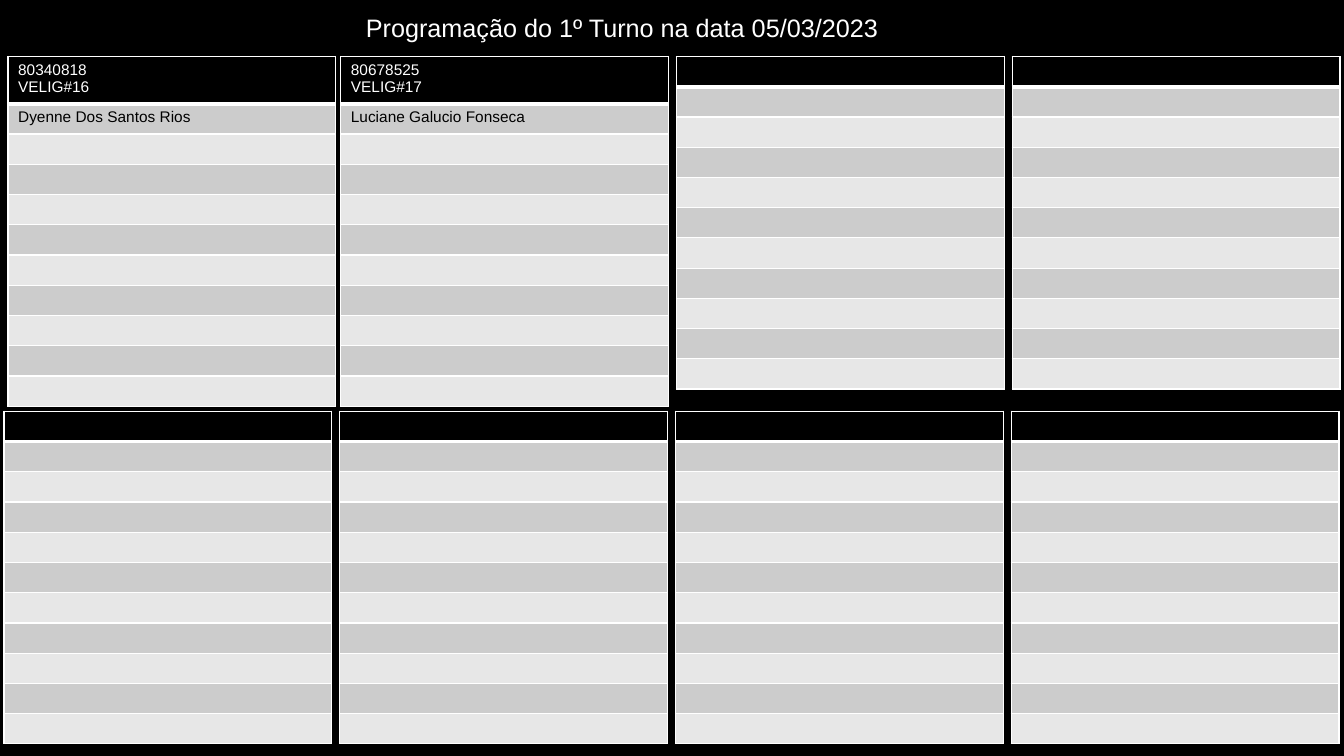
from dataclasses import dataclass

import lxml.etree
import pptx
import pptx.dml.color
import pptx.oxml.ns
import pptx.util

Inches = pptx.util.Inches
Pt = pptx.util.Pt
qn = pptx.oxml.ns.qn

BLACK, WHITE = "000000", "FFFFFF"
BANDS = ("CCCCCC", "E7E7E7")
FONT = "Arial"
CELL_SIZE = 11
CREW_ROWS = 10
ROW_HEIGHT = 0.3
ORDER_HEADER_HEIGHT = 0.47
STATION_WIDTH = 3.25


@dataclass
class Station:
    left: float
    top: float
    order: tuple[str, ...] = ()
    crew: tuple[str, ...] = ()


def rgb(color: str) -> pptx.dml.color.RGBColor:
    return pptx.dml.color.RGBColor.from_string(color)


def add_run(paragraph, text: str, size: float, color: str) -> None:
    run = paragraph.add_run()
    run.text = text
    run.font.name = FONT
    run.font.size = Pt(size)
    run.font.color.rgb = rgb(color)


def add_border(cell, side: str, width: float) -> None:
    properties = cell._tc.get_or_add_tcPr()
    line = lxml.etree.SubElement(properties, qn(f"a:ln{side}"), w=str(Pt(width)))
    fill = lxml.etree.SubElement(line, qn("a:solidFill"))
    lxml.etree.SubElement(fill, qn("a:srgbClr"), val=WHITE)


def fill_cell(cell, lines: tuple[str, ...], fill: str, color: str, bottom: float) -> None:
    for side, width in (("L", 1), ("R", 1), ("T", 1), ("B", bottom)):
        add_border(cell, side, width)
    cell.fill.solid()
    cell.fill.fore_color.rgb = rgb(fill)
    frame = cell.text_frame
    for index, line in enumerate(lines):
        paragraph = frame.add_paragraph() if index else frame.paragraphs[0]
        add_run(paragraph, line, CELL_SIZE, color)
    for paragraph in frame.paragraphs:
        lxml.etree.SubElement(paragraph._p, qn("a:endParaRPr"), sz=str(CELL_SIZE * 100))


def add_station(slide, station: Station) -> None:
    header_height = ORDER_HEADER_HEIGHT if station.order else ROW_HEIGHT
    table = slide.shapes.add_table(
        CREW_ROWS + 1, 1, Inches(station.left), Inches(station.top),
        Inches(STATION_WIDTH), Inches(header_height + CREW_ROWS * ROW_HEIGHT),
    ).table
    table.first_row = False
    table.horz_banding = False
    table.rows[0].height = Inches(header_height)
    fill_cell(table.cell(0, 0), station.order, BLACK, WHITE, 3)
    for index in range(CREW_ROWS):
        table.rows[index + 1].height = Inches(ROW_HEIGHT)
        worker = station.crew[index:index + 1]
        fill_cell(table.cell(index + 1, 0), worker, BANDS[index % 2], BLACK, 1)


def add_title(slide, text: str) -> None:
    title = slide.shapes.add_textbox(Inches(3.53), Inches(0.07), Inches(6.28), Inches(0.44))
    title.text_frame.word_wrap = True
    add_run(title.text_frame.paragraphs[0], text, 18, WHITE)


UPPER_TOP, LOWER_TOP = 0.56, 4.08
STATIONS = [
    Station(0.08, UPPER_TOP, ("80340818", "VELIG#16"), ("Dyenne Dos Santos Rios",)),
    Station(3.38, UPPER_TOP, ("80678525", "VELIG#17"), ("Luciane Galucio Fonseca",)),
    Station(6.71, UPPER_TOP),
    Station(10.04, UPPER_TOP),
    *(Station(0.04 + 3.33 * column, LOWER_TOP) for column in range(4)),
]

presentation = pptx.Presentation()
presentation.slide_width = Inches(13.33)
presentation.slide_height = Inches(7.5)
schedule = presentation.slides.add_slide(presentation.slide_layouts[6])
schedule.background.fill.solid()
schedule.background.fill.fore_color.rgb = rgb(BLACK)

for station in STATIONS:
    add_station(schedule, station)
add_title(schedule, "Programação do 1º Turno na data 05/03/2023")

presentation.save("out.pptx")
